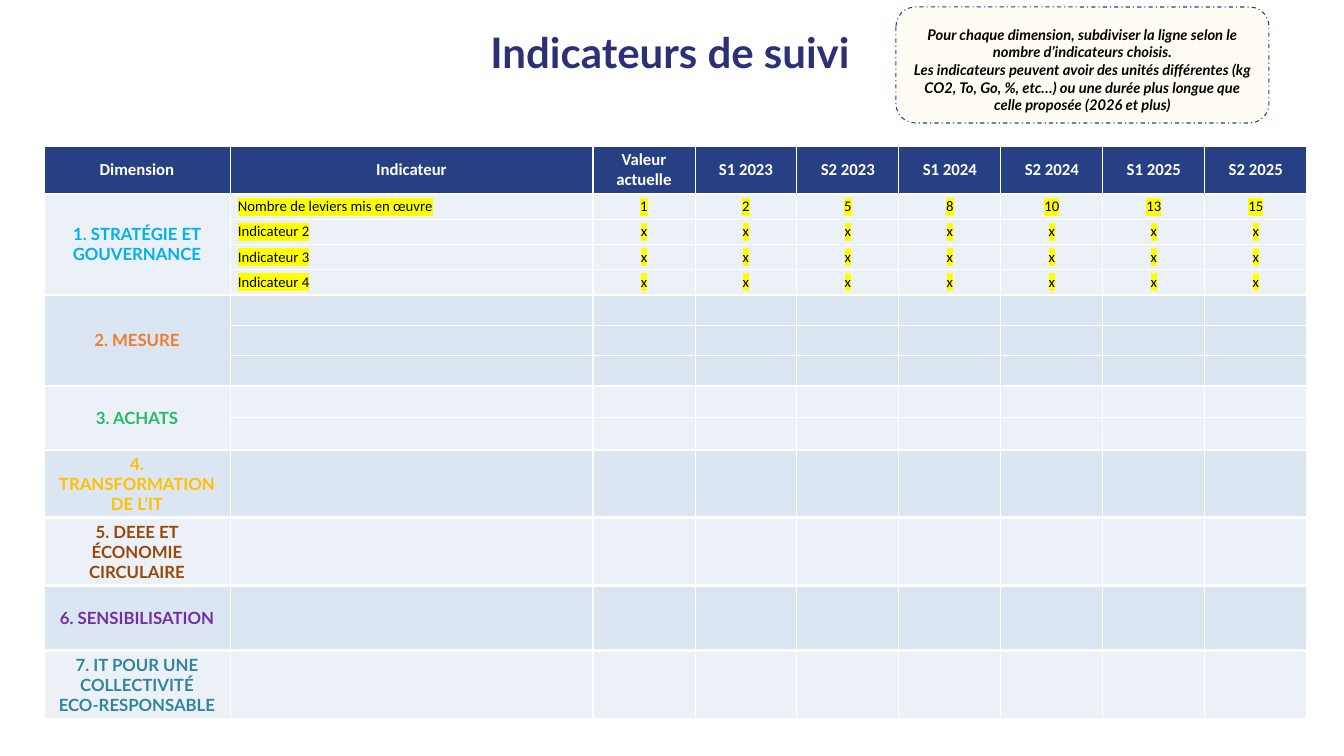
from lxml import etree
from pptx import Presentation, util as u
from pptx.dml.color import RGBColor
from pptx.enum import dml, shapes, text
from pptx.oxml.ns import qn

TITLE = "Indicateurs de suivi"
NOTE = [
    "Pour chaque dimension, subdiviser la ligne selon le nombre d’indicateurs choisis.",
    "Les indicateurs peuvent avoir des unités différentes (kg CO2, To, Go, %, etc…) "
    "ou une durée plus longue que celle proposée (2026 et plus)",
]
HEADERS = ["Dimension", "Indicateur", "Valeur actuelle", "S1 2023", "S2 2023",
           "S1 2024", "S2 2024", "S1 2025", "S2 2025"]
PERIODS = len(HEADERS) - 2
INDICATORS = [["Nombre de leviers mis en œuvre", "1", "2", "5", "8", "10", "13", "15"]]
INDICATORS += [[f"Indicateur {n}"] + ["x"] * PERIODS for n in (2, 3, 4)]
EMPTY = [""] * (PERIODS + 1)

# label lines, colour, height in px, indicator rows
DIMENSIONS = [
    (["1. STRATÉGIE ET GOUVERNANCE"], "sky", 101, INDICATORS),
    (["2. MESURE"], "orange", 91, [EMPTY] * 3),
    (["3. ACHATS"], "green", 64, [EMPTY] * 2),
    (["4. TRANSFORMATION", "DE L’IT"], "gold", 68, [EMPTY]),
    (["5. DEEE ET ÉCONOMIE CIRCULAIRE"], "brown", 68, [EMPTY]),
    (["6. SENSIBILISATION"], "purple", 65, [EMPTY]),
    (["7. IT POUR UNE", "COLLECTIVITÉ", "ECO-RESPONSABLE"], "teal", 68, [EMPTY]),
]
COLORS = {
    "title": "2C3176", "navy": "274084", "white": "FFFFFF", "black": "000000",
    "cream": "FFFDF3", "highlight": "FFFF00", "light": "ECF1F8", "blue": "DCE6F2",
    "sky": "00B0F0", "orange": "ED7D31", "green": "24BB69", "gold": "FFC000",
    "brown": "984807", "purple": "7030A0", "teal": "31859C",
}
HEADER_HEIGHT = 48
COLUMN_WIDTHS = [186, 363] + [102] * PERIODS
THIN, THICK = 1, 3
CENTER, LEFT = text.PP_ALIGN.CENTER, text.PP_ALIGN.LEFT


def px(value):
    return u.Emu(round(value * 914400 / 75.6))


def color(name):
    return RGBColor.from_string(COLORS[name])


def write(frame, lines, size, ink, font="Lato", bold=True, italic=False,
          align=CENTER, highlight=False):
    for i, line in enumerate(lines):
        paragraph = frame.paragraphs[0] if i == 0 else frame.add_paragraph()
        paragraph.alignment = align
        run = paragraph.add_run()
        run.text = line
        run.font.size = u.Pt(size)
        run.font.bold = bold
        run.font.italic = italic
        run.font.color.rgb = color(ink)
        run.font.name = font
        if highlight:
            mark = etree.Element(qn("a:highlight"))
            etree.SubElement(mark, qn("a:srgbClr"), val=COLORS["highlight"])
            run._r.get_or_add_rPr().find(qn("a:solidFill")).addnext(mark)


def set_margins(part, left, top, right, bottom):
    part.margin_left, part.margin_top = px(left), px(top)
    part.margin_right, part.margin_bottom = px(right), px(bottom)


def style_cell(cell, fill, column, top, bottom):
    cell.fill.solid()
    cell.fill.fore_color.rgb = color(fill)
    cell.vertical_anchor = text.MSO_ANCHOR.MIDDLE
    set_margins(cell, 8, 2, 8, 2)
    widths = {"L": THICK if column == 2 else THIN,
              "R": THICK if column == 1 else THIN, "T": top, "B": bottom}
    properties = cell._tc.get_or_add_tcPr()
    for i, (side, width) in enumerate(widths.items()):
        border = etree.Element(qn(f"a:ln{side}"), w=str(u.Pt(width)))
        solid = etree.SubElement(border, qn("a:solidFill"))
        etree.SubElement(solid, qn("a:srgbClr"), val=COLORS["white"])
        properties.insert(i, border)


def add_title(slide):
    title = slide.shapes.add_textbox(px(138), px(26), px(1064), px(51))
    title.text_frame.word_wrap = True
    set_margins(title.text_frame, 0, 0, 0, 0)
    write(title.text_frame, [TITLE], 40, "title")


def add_indicator_table(slide):
    heights = [HEADER_HEIGHT]
    for _, _, height, rows in DIMENSIONS:
        heights += [height / len(rows)] * len(rows)
    table = slide.shapes.add_table(
        len(heights), len(HEADERS), px(44), px(146),
        px(sum(COLUMN_WIDTHS)), px(sum(heights))).table
    table.first_row = table.horz_banding = False
    for column, width in zip(table.columns, COLUMN_WIDTHS):
        column.width = px(width)
    for row, height in zip(table.rows, heights):
        row.height = px(height)

    for c, header in enumerate(HEADERS):
        cell = table.cell(0, c)
        style_cell(cell, "navy", c, THIN, THICK)
        write(cell.text_frame, [header], 16, "white", "Calibri")

    first = 1
    for d, (label, ink, _, rows) in enumerate(DIMENSIONS):
        last = first + len(rows) - 1
        for r, values in enumerate(rows, first):
            top = THICK if r == first else THIN
            bottom = THICK if r == last and r < len(heights) - 1 else THIN
            for c in range(len(HEADERS)):
                style_cell(table.cell(r, c), ("light", "blue")[d % 2], c, top, bottom)
            for c, value in enumerate(values, 1):
                if value:
                    write(table.cell(r, c).text_frame, [value], 14, "black", "Calibri",
                          bold=False, align=LEFT if c == 1 else CENTER, highlight=True)
        dimension = table.cell(first, 0)
        if last > first:
            dimension.merge(table.cell(last, 0))
        write(dimension.text_frame, label, 16, ink)
        first = last + 1


def add_note(slide):
    note = slide.shapes.add_shape(shapes.MSO_SHAPE.ROUNDED_RECTANGLE,
                                  px(896), px(7), px(373), px(116))
    note.shadow.inherit = False
    note.fill.solid()
    note.fill.fore_color.rgb = color("cream")
    note.line.color.rgb = color("navy")
    note.line.width = u.Pt(1)
    note.line.dash_style = dml.MSO_LINE.DASH_DOT
    frame = note.text_frame
    frame.word_wrap = True
    frame.vertical_anchor = text.MSO_ANCHOR.MIDDLE
    set_margins(frame, 8, 11, 8, 2)
    write(frame, NOTE, 14, "black", italic=True)


def main():
    deck = Presentation()
    deck.slide_width, deck.slide_height = px(1344), px(756)
    slide = deck.slides.add_slide(deck.slide_layouts[6])
    add_title(slide)
    add_indicator_table(slide)
    add_note(slide)
    deck.save("out.pptx")


if __name__ == "__main__":
    main()
